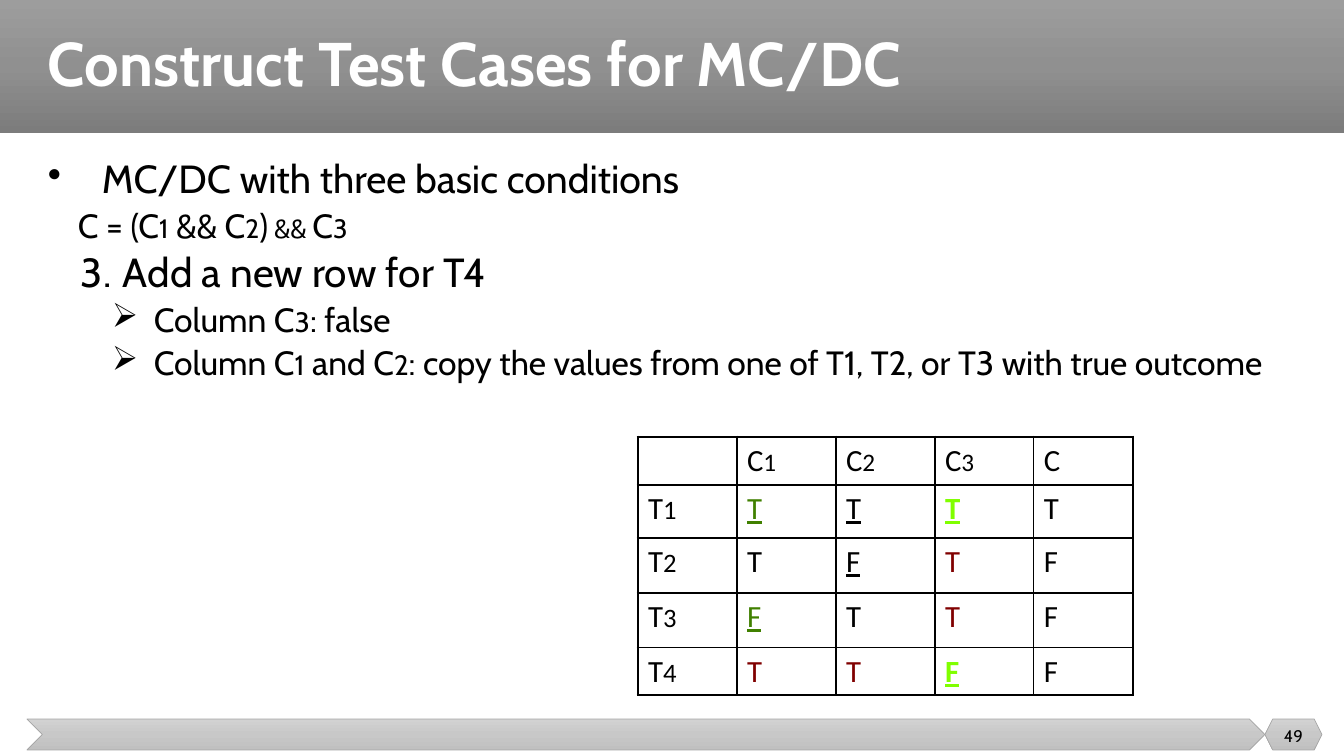
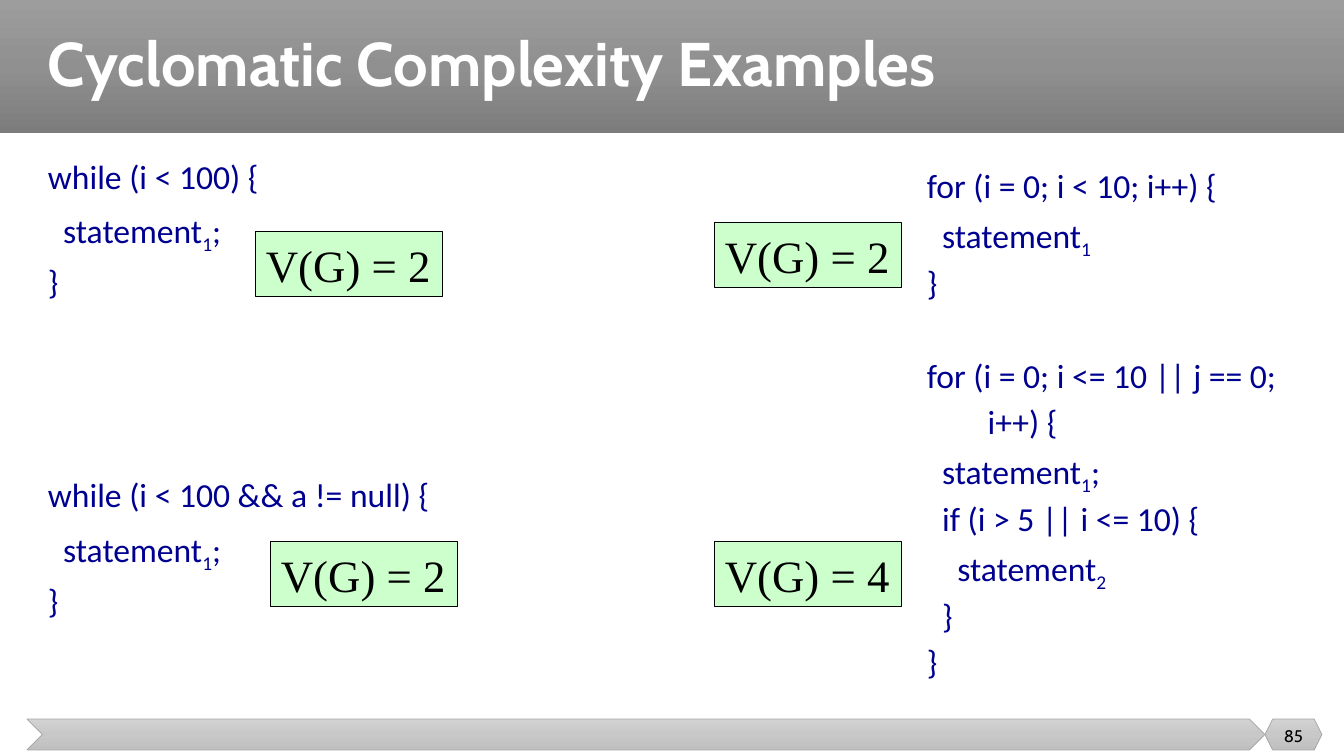
from dataclasses import asdict, dataclass, replace
from typing import Optional

from lxml.etree import SubElement
from pptx import Presentation
from pptx.dml.color import RGBColor
from pptx.enum.shapes import MSO_SHAPE
from pptx.enum.text import MSO_ANCHOR, PP_ALIGN
from pptx.oxml.ns import qn
from pptx.util import Emu, Pt

WIDTH, HEIGHT = 1344, 756
SCALE = 12192000 / WIDTH
COLORS = {
    "white": "FFFFFF",
    "black": "000000",
    "navy": "000090",
    "green": "408000",
    "lime": "80FF00",
    "maroon": "800000",
    "mint": "CCFFCC",
    "edge": "A5A5A5",
}
HEADER_GRADIENT = ("9D9D9D", "909090", "7C7C7C")
FOOTER_GRADIENT = ("D2D2D2", "C8C8C8", "C0C0C0")


@dataclass(frozen=True)
class Box:
    left: int
    top: int
    width: int
    height: int

    def emu(self) -> tuple:
        return tuple(px(side) for side in (self.left, self.top, self.width, self.height))


@dataclass(frozen=True)
class Style:
    size: int
    font: str
    color: str = "black"
    bold: bool = False
    underline: bool = False
    low_size: Optional[int] = None


@dataclass(frozen=True)
class Line:
    text: str
    style: Style
    before: float = 0
    margin: int = 0
    indent: int = 0
    bullet: Optional[str] = None
    number: Optional[int] = None


@dataclass(frozen=True)
class Label:
    text: str
    left: int
    top: int


TITLE = Style(44, "Cabin", "white", bold=True)
PAGE_NUMBER = Style(12, "Cabin")
POINT = Style(28, "Cabin")
FORMULA = Style(24, "Cabin", low_size=19)
STEP = Style(29, "Cabin")
DETAIL = Style(24, "Cabin", low_size=20)
CODE = Style(24, "Calibri", "navy")
COMPLEXITY = Style(32, "Times New Roman")
HEADING = Style(22, "Calibri", low_size=18)
PLAIN = replace(HEADING, low_size=19)
UNDERLINED = replace(PLAIN, underline=True)
GREEN = replace(UNDERLINED, color="green")
LIME = replace(UNDERLINED, color="lime", bold=True)
COPIED = replace(PLAIN, color="maroon")

TITLE_BOX = Box(38, 0, 1284, 133)
BODY_BOX = Box(38, 155, 1284, 523)
LEFT_CODE_BOX = Box(38, 155, 640, 523)
RIGHT_CODE_BOX = Box(917, 168, 427, 544)

BODY = (
    Line("MC/DC with three basic conditions", POINT, margin=54, indent=-54, bullet="•"),
    Line("C = (C~1~ && C~2~)~ && ~C~3", FORMULA, 5, margin=30),
    Line("Add a new row for T4", STEP, 5, margin=75, indent=-42, number=3),
    Line("Column C~3~: false", DETAIL, 5, margin=106, indent=-42, bullet="➢"),
    Line(
        "Column C~1~ and C~2~: copy the values from one of T1, T2, or T3 with true outcome",
        DETAIL, 5, margin=106, indent=-42, bullet="➢",
    ),
)
COLUMN_WIDTH = 99
ROW_HEIGHTS = (48, 53, 55, 55, 47)
TRUTH_TABLE = (
    (("", PLAIN), ("C~1", HEADING), ("C~2", HEADING), ("C~3", HEADING), ("C", HEADING)),
    (("T~1", PLAIN), ("T", GREEN), ("T", UNDERLINED), ("T", LIME), ("T", PLAIN)),
    (("T~2", PLAIN), ("T", PLAIN), ("F", UNDERLINED), ("T", COPIED), ("F", PLAIN)),
    (("T~3", PLAIN), ("F", GREEN), ("T", PLAIN), ("T", COPIED), ("F", PLAIN)),
    (("T~4", PLAIN), ("T", COPIED), ("T", COPIED), ("F", LIME), ("F", PLAIN)),
)

LEFT_CODE = (
    ("while (i < 100) {", "  statement~1~;", "}"),
    ("while (i < 100 && a != null) {", "  statement~1~;", "}"),
)
RIGHT_CODE = (
    ("for (i = 0; i < 10; i++) {", "  statement~1", "}"),
    (
        "for (i = 0; i <= 10 || j == 0;",
        "        i++) {",
        "  statement~1~;",
        "  if (i > 5 || i <= 10) {",
        "    statement~2",
        "  }",
        "}",
    ),
)
LABELS = (
    Label("V(G) = 2", 256, 232),
    Label("V(G) = 4", 715, 542),
    Label("V(G) = 2", 715, 223),
    Label("V(G) = 2", 271, 542),
)


def px(length: int) -> Emu:
    return Emu(round(length * SCALE))


def rgb(name: str) -> RGBColor:
    return RGBColor.from_string(COLORS[name])


def write(paragraph, text: str, *, size: int, font: str, color: str = "black",
          bold: bool = False, underline: bool = False,
          low_size: Optional[int] = None) -> None:
    for index, part in enumerate(text.split("~")):
        if not part:
            continue
        lowered = index % 2 == 1
        run = paragraph.add_run()
        run.text = part
        run.font.size = Pt(low_size if lowered and low_size else size)
        run.font.name = font
        run.font.bold = bold
        run.font.underline = underline
        run.font.color.rgb = rgb(color)
        if lowered and not low_size:
            run.font._element.set("baseline", "-25000")


def add_bullet(paragraph, line: Line) -> None:
    properties = paragraph._p.get_or_add_pPr()
    properties.set("marL", str(px(line.margin)))
    properties.set("indent", str(px(line.indent)))
    if line.bullet:
        SubElement(properties, qn("a:buChar"), char=line.bullet)
    elif line.number:
        SubElement(properties, qn("a:buAutoNum"), type="arabicPeriod", startAt=str(line.number))


def add_text(slide, box: Box, lines: tuple, *, spacing: float = 0.9,
             anchor=MSO_ANCHOR.TOP, align=PP_ALIGN.LEFT) -> None:
    frame = slide.shapes.add_textbox(*box.emu()).text_frame
    frame.word_wrap = True
    frame.vertical_anchor = anchor
    for index, line in enumerate(lines):
        paragraph = frame.add_paragraph() if index else frame.paragraphs[0]
        add_bullet(paragraph, line)
        paragraph.alignment = align
        paragraph.line_spacing = spacing
        if index:
            paragraph.space_before = Pt(line.before)
        write(paragraph, line.text, **asdict(line.style))


def add_band(slide, kind, box: Box, gradient: tuple, edge: Optional[str] = None) -> None:
    shape = slide.shapes.add_shape(kind, *box.emu())
    shape.shadow.inherit = False
    shape.fill.gradient()
    shape.fill.gradient_angle = 270
    stops = shape._element.spPr.find(qn("a:gradFill")).find(qn("a:gsLst"))
    for stop in list(stops):
        stops.remove(stop)
    for index, color in enumerate(gradient):
        stop = SubElement(stops, qn("a:gs"), pos=str(index * 50000))
        SubElement(stop, qn("a:srgbClr"), val=color)
    if edge:
        shape.line.color.rgb = rgb(edge)
        shape.line.width = Pt(0.5)
    else:
        shape.line.fill.background()


def add_slide(presentation, title: str, number: str):
    slide = presentation.slides.add_slide(presentation.slide_layouts[6])
    add_band(slide, MSO_SHAPE.RECTANGLE, Box(0, 0, WIDTH, 133), HEADER_GRADIENT)
    add_band(slide, MSO_SHAPE.CHEVRON, Box(27, 719, 1238, 31), FOOTER_GRADIENT, "edge")
    add_band(slide, MSO_SHAPE.HEXAGON, Box(1265, 719, 57, 31), FOOTER_GRADIENT, "edge")
    add_text(slide, TITLE_BOX, (Line(title, TITLE),), anchor=MSO_ANCHOR.MIDDLE)
    add_text(slide, Box(1265, 716, 57, 40), (Line(number, PAGE_NUMBER),), spacing=1.0,
             anchor=MSO_ANCHOR.MIDDLE, align=PP_ALIGN.CENTER)
    return slide


def add_border(cell, side: str, width: float) -> None:
    properties = cell._tc.get_or_add_tcPr()
    border = SubElement(properties, qn(f"a:ln{side}"), w=str(Pt(width)))
    fill = SubElement(border, qn("a:solidFill"))
    SubElement(fill, qn("a:srgbClr"), val=COLORS["black"])


def add_truth_table(slide, left: int, top: int) -> None:
    last_row, last_column = len(TRUTH_TABLE) - 1, len(TRUTH_TABLE[0]) - 1
    box = Box(left, top, COLUMN_WIDTH * (last_column + 1), sum(ROW_HEIGHTS))
    table = slide.shapes.add_table(last_row + 1, last_column + 1, *box.emu()).table
    table.first_row = False
    table.horz_banding = False
    for column in table.columns:
        column.width = px(COLUMN_WIDTH)
    for row_index, row in enumerate(TRUTH_TABLE):
        table.rows[row_index].height = px(ROW_HEIGHTS[row_index])
        for column_index, (text, style) in enumerate(row):
            cell = table.cell(row_index, column_index)
            outer = {
                "L": column_index == 0,
                "R": column_index == last_column,
                "T": row_index == 0,
                "B": row_index == last_row,
            }
            for side, is_outer in outer.items():
                add_border(cell, side, 2.25 if is_outer else 1)
            cell.fill.background()
            write(cell.text_frame.paragraphs[0], text, **asdict(style))


def add_code(slide, box: Box, blocks: tuple, gap: float, spacing: float) -> None:
    lines = tuple(
        Line(text, CODE, 10 if index else gap)
        for block in blocks
        for index, text in enumerate(block)
    )
    add_text(slide, box, lines, spacing=spacing)


def add_label(slide, label: Label) -> None:
    box = Box(label.left, label.top, 187, 65)
    shape = slide.shapes.add_shape(MSO_SHAPE.RECTANGLE, *box.emu())
    shape.shadow.inherit = False
    shape.fill.solid()
    shape.fill.fore_color.rgb = rgb("mint")
    shape.line.color.rgb = rgb("black")
    shape.line.width = Pt(0.75)
    frame = shape.text_frame
    frame.word_wrap = False
    frame.vertical_anchor = MSO_ANCHOR.MIDDLE
    paragraph = frame.paragraphs[0]
    paragraph.alignment = PP_ALIGN.LEFT
    write(paragraph, label.text, **asdict(COMPLEXITY))


def main() -> None:
    presentation = Presentation()
    presentation.slide_width = px(WIDTH)
    presentation.slide_height = px(HEIGHT)

    test_cases = add_slide(presentation, "Construct Test Cases for MC/DC", "49")
    add_text(test_cases, BODY_BOX, BODY)
    add_truth_table(test_cases, 638, 437)

    complexity = add_slide(presentation, "Cyclomatic Complexity Examples", "85")
    add_code(complexity, LEFT_CODE_BOX, LEFT_CODE, gap=126.5, spacing=0.9)
    add_code(complexity, RIGHT_CODE_BOX, RIGHT_CODE, gap=43, spacing=0.8)
    for label in LABELS:
        add_label(complexity, label)

    presentation.save("out.pptx")


if __name__ == "__main__":
    main()
